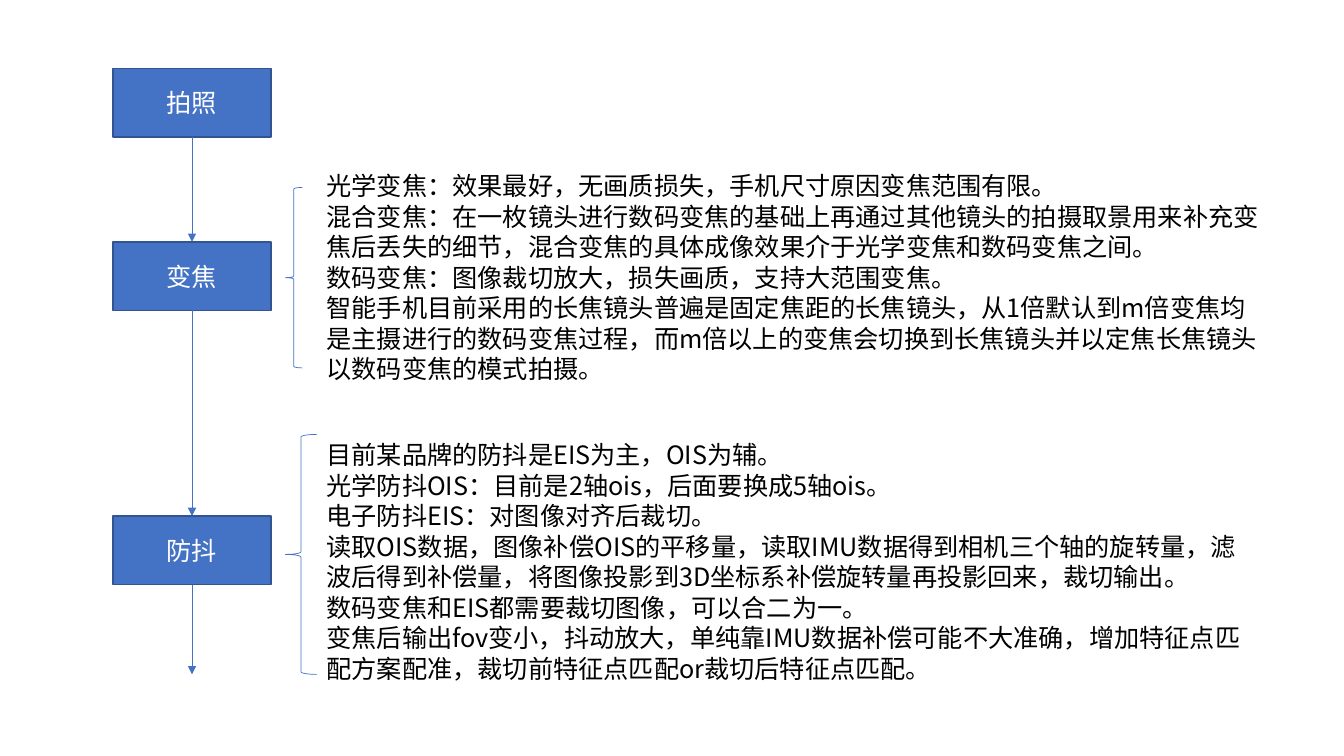
from lxml import etree
from pptx import Presentation, util as u
from pptx.dml.color import RGBColor
from pptx.enum import shapes, text
from pptx.oxml.ns import qn

FONT = "Noto Sans CJK SC"
BLUE, EDGE, WHITE, BLACK = "4472C4", "325491", "FFFFFF", "000000"
LEFT, WIDE, HIGH = 80.64, 113.04, 48.96
END = 481.7

STEPS = [("拍照", 48.96), ("变焦", 172.8), ("防抖", 368.64)]

# brace and note: left, top, width, height
NOTES = [
    ((203.8, 133.9, 12.2, 128.9), (226.1, 118.1, 681.1, 159.8), [
        "光学变焦：效果最好，无画质损失，手机尺寸原因变焦范围有限。",
        "混合变焦：在一枚镜头进行数码变焦的基础上再通过其他镜头的拍摄取景用来补充变焦后丢失的细节，"
        "混合变焦的具体成像效果介于光学变焦和数码变焦之间。",
        "数码变焦：图像裁切放大，损失画质，支持大范围变焦。",
        "智能手机目前采用的长焦镜头普遍是固定焦距的长焦镜头，从1倍默认到m倍变焦均是主摄进行的数码变焦过程，"
        "而m倍以上的变焦会切换到长焦镜头并以定焦长焦镜头以数码变焦的模式拍摄。",
    ]),
    ((203.8, 310.3, 22.3, 171.4), (226.1, 310.3, 667.4, 181.4), [
        "目前某品牌的防抖是EIS为主，OIS为辅。",
        "光学防抖OIS：目前是2轴ois，后面要换成5轴ois。",
        "电子防抖EIS：对图像对齐后裁切。",
        "读取OIS数据，图像补偿OIS的平移量，读取IMU数据得到相机三个轴的旋转量，"
        "滤波后得到补偿量，将图像投影到3D坐标系补偿旋转量再投影回来，裁切输出。",
        "数码变焦和EIS都需要裁切图像，可以合二为一。",
        "变焦后输出fov变小，抖动放大，单纯靠IMU数据补偿可能不大准确，"
        "增加特征点匹配方案配准，裁切前特征点匹配or裁切后特征点匹配。",
    ]),
]

BOXFORM = {"alignment": text.PP_ALIGN.CENTER}
NOTEFORM = {"alignment": text.PP_ALIGN.LEFT, "line_spacing": u.Pt(21.8)}


def rgb(code):
    return RGBColor.from_string(code)


def pts(nums):
    return [u.Pt(n) for n in nums]


def stroke(item, color, width):
    item.line.color.rgb = rgb(color)
    item.line.width = u.Pt(width)


def write(frame, lines, color, form):
    """Fill a text frame with one paragraph per line."""
    frame.word_wrap = True
    for i, line in enumerate(lines):
        para = frame.paragraphs[0] if i == 0 else frame.add_paragraph()
        for key, val in form.items():
            setattr(para, key, val)
        run = para.add_run()
        run.text = line
        run.font.name, run.font.size = FONT, u.Pt(18)
        run.font.color.rgb = rgb(color)
        etree.SubElement(run.font._element, qn("a:ea"), typeface=FONT)


def shape(slide, kind, area):
    item = slide.shapes.add_shape(kind, *pts(area))
    item.shadow.inherit = False
    return item


def step(slide, name, top):
    box = shape(slide, shapes.MSO_SHAPE.RECTANGLE, (LEFT, top, WIDE, HIGH))
    box.fill.solid()
    box.fill.fore_color.rgb = rgb(BLUE)
    stroke(box, EDGE, 1)
    box.text_frame.vertical_anchor = text.MSO_ANCHOR.MIDDLE
    write(box.text_frame, [name], WHITE, BOXFORM)
    return box


def arrow(slide, box, after):
    """Lead down from a box to the next one, or to the end of the flow."""
    mid = box.left + box.width // 2
    stop = after.top if after else u.Pt(END)
    link = slide.shapes.add_connector(
        shapes.MSO_CONNECTOR.STRAIGHT, mid, box.top + box.height, mid, stop)
    link.begin_connect(box, 2)
    if after:
        link.end_connect(after, 0)
    stroke(link, BLUE, 0.5)
    etree.SubElement(link.line._get_or_add_ln(), qn("a:tailEnd"), type="triangle")
    etree.SubElement(link._element.spPr, qn("a:effectLst"))


def note(slide, span, area, lines):
    brace = shape(slide, shapes.MSO_SHAPE.LEFT_BRACE, span)
    brace.fill.background()
    stroke(brace, BLUE, 0.5)
    box = slide.shapes.add_textbox(*pts(area))
    write(box.text_frame, lines, BLACK, NOTEFORM)


def main():
    deck = Presentation()
    deck.slide_width, deck.slide_height = pts((960, 540))
    slide = deck.slides.add_slide(deck.slide_layouts[6])
    boxes = [step(slide, *item) for item in STEPS]
    for box, after in zip(boxes, boxes[1:] + [None]):
        arrow(slide, box, after)
    for item in NOTES:
        note(slide, *item)
    deck.save("out.pptx")


if __name__ == "__main__":
    main()
